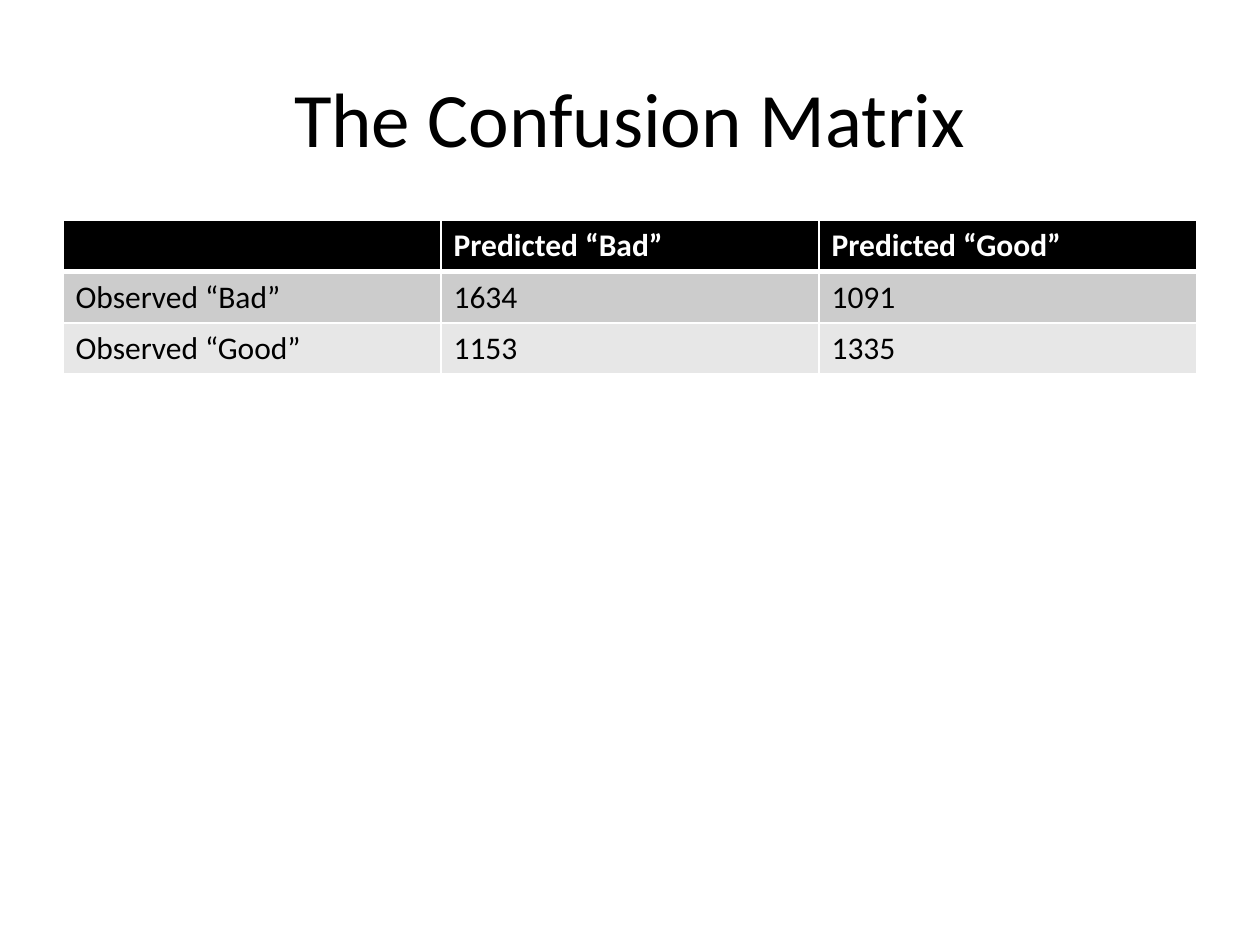
from dataclasses import dataclass

import pptx
import pptx.dml.color
import pptx.enum.text
import pptx.oxml
import pptx.oxml.ns
import pptx.util

WIDTH, HEIGHT = 10, 7.5
FONT = "Calibri"
BLACK, WHITE = "000000", "FFFFFF"


@dataclass(frozen=True)
class Box:
    left: float
    top: float
    width: float
    height: float

    def lengths(self) -> list[int]:
        shares = (self.left, self.top, self.width, self.height)
        sides = (WIDTH, HEIGHT, WIDTH, HEIGHT)
        return [pptx.util.Inches(share * side) for share, side in zip(shares, sides)]


@dataclass(frozen=True)
class MatrixRow:
    texts: tuple[str, ...]
    fill: str
    color: str = BLACK
    bold: bool = False
    top: int = 1
    bottom: int = 1


TITLE = Box(0.05, 0.04, 0.9, 1 / 6)
MATRIX = Box(0.05, 1.75 / HEIGHT, 0.9, 1.22 / HEIGHT)
ROWS = (
    MatrixRow(("", "Predicted “Bad”", "Predicted “Good”"), BLACK, WHITE, True, bottom=3),
    MatrixRow(("Observed “Bad”", "1634", "1091"), "CCCCCC", top=3),
    MatrixRow(("Observed “Good”", "1153", "1335"), "E7E7E7"),
)


def rgb(value: str) -> pptx.dml.color.RGBColor:
    return pptx.dml.color.RGBColor.from_string(value)


def write(tf, text: str, size: int, color: str, bold: bool = False) -> None:
    r = tf.paragraphs[0].add_run()
    r.text = text
    for name, value in {"name": FONT, "size": pptx.util.Pt(size), "bold": bold}.items():
        setattr(r.font, name, value)
    r.font.color.rgb = rgb(color)


def add_title(s, text: str, box: Box) -> None:
    tf = s.shapes.add_textbox(*box.lengths()).text_frame
    anchor = pptx.enum.text.MSO_ANCHOR.MIDDLE
    for name, value in {"word_wrap": True, "vertical_anchor": anchor}.items():
        setattr(tf, name, value)
    tf.paragraphs[0].alignment = pptx.enum.text.PP_ALIGN.CENTER
    write(tf, text, 44, BLACK)


def add_borders(cell, row: MatrixRow) -> None:
    tc_pr = cell._tc.get_or_add_tcPr()
    for side, points in {"L": 1, "R": 1, "T": row.top, "B": row.bottom}.items():
        tc_pr.append(pptx.oxml.parse_xml(
            f'<a:ln{side} {pptx.oxml.ns.nsdecls("a")} w="{pptx.util.Pt(points)}">'
            f'<a:solidFill><a:srgbClr val="{WHITE}"/></a:solidFill></a:ln{side}>'
        ))


def add_matrix(s, rows: tuple[MatrixRow, ...], box: Box) -> None:
    columns = len(rows[0].texts)
    table = s.shapes.add_table(len(rows), columns, *box.lengths()).table
    for i, row in enumerate(rows):
        for j, text in enumerate(row.texts):
            cell = table.cell(i, j)
            add_borders(cell, row)
            cell.fill.solid()
            cell.fill.fore_color.rgb = rgb(row.fill)
            if text:
                write(cell.text_frame, text, 18, row.color, row.bold)


def main() -> None:
    prs = pptx.Presentation()
    for name, value in {"slide_width": WIDTH, "slide_height": HEIGHT}.items():
        setattr(prs, name, pptx.util.Inches(value))
    s = prs.slides.add_slide(prs.slide_layouts[6])
    add_title(s, "The Confusion Matrix", TITLE)
    add_matrix(s, ROWS, MATRIX)
    prs.save("out.pptx")


if __name__ == "__main__":
    main()
